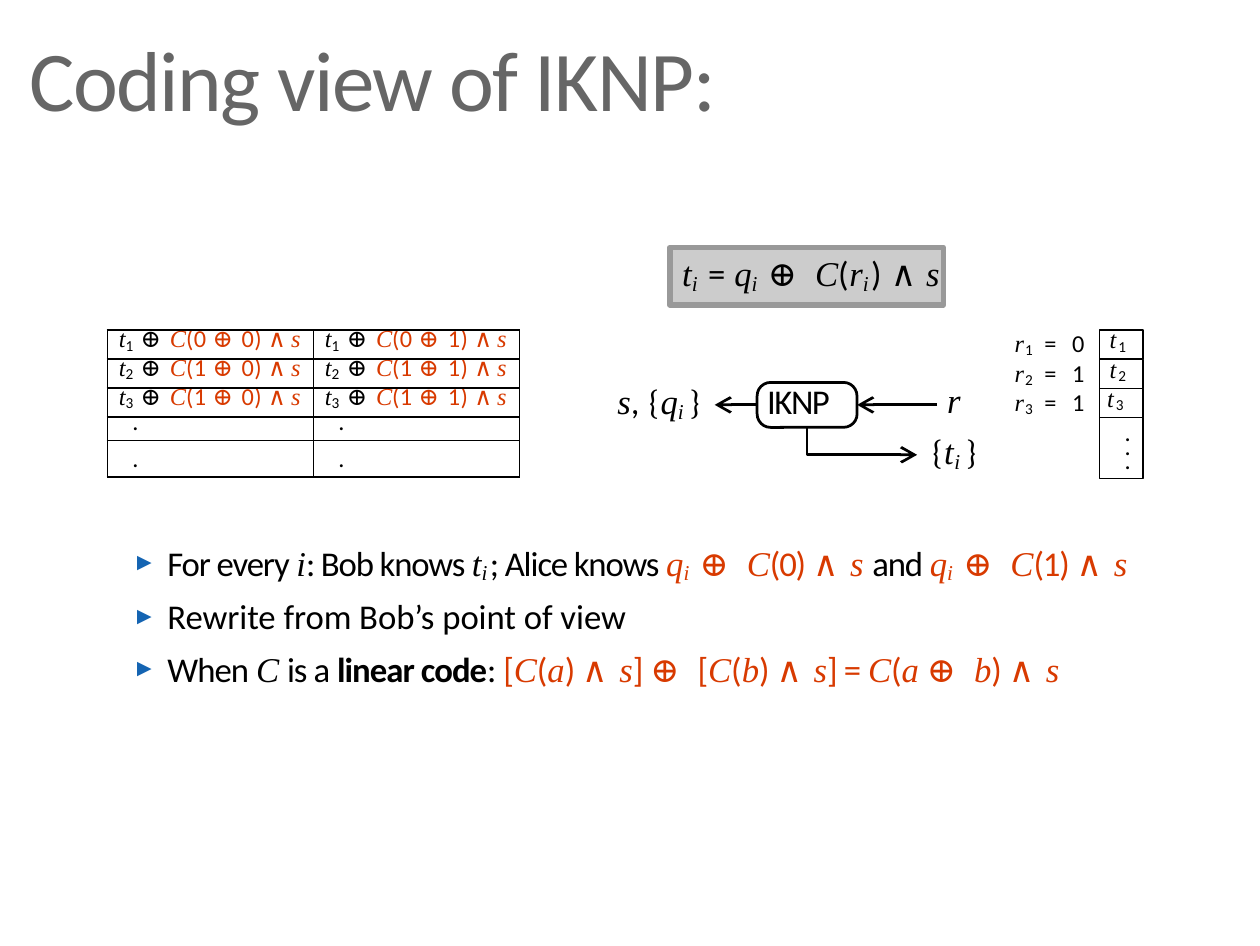
import itertools

import pptx
import pptx.dml.color
import pptx.enum.shapes
import pptx.enum.text
import pptx.oxml
import pptx.oxml.ns
import pptx.util
from lxml import etree

Pt = pptx.util.Pt
SHAPE = pptx.enum.shapes.MSO_SHAPE
COLS, ROWS = 504.17, 378.47
WIDE, HIGH = Pt(363), Pt(272.5)
BLACK, WHITE, RED = "000000", "FFFFFF", "D83A00"
FONTS = {"plain": "Calibri", "math": "Times New Roman", "sub": "Times New Roman",
         "digit": "Calibri", "cross": "Cambria", "wedge": "Cambria", "brace": "Cambria"}
GAPS = {"plain": -0.3, "math": -0.2, "sub": 0, "digit": 0,
        "cross": 1.5, "wedge": 0.6, "brace": 0.3}
FLAT = dict.fromkeys(GAPS, 0) | {"digit": 0.6, "cross": 0.5, "plain": 0.15}
SIGNS = {"⊕": "cross", "∧": "wedge", "{": "brace", "}": "brace"}


def col(count):
    return round(WIDE * count / COLS)


def row(count):
    return round(HIGH * count / ROWS)


def area(x, y, w, h):
    return col(x), row(y), col(w), row(h)


def paint(part, shade):
    part.solid()
    part.fore_color.rgb = pptx.dml.color.RGBColor.from_string(shade)


def child(node, tag, **attrs):
    return etree.SubElement(node, pptx.oxml.ns.qn("a:" + tag), attrs)


def spell(text):
    """Yield (char, style); * is math, _ is subscript, ^ is red, # is bold."""
    on = dict.fromkeys("*_^#", False)
    kind = "plain"
    for char in text:
        if char in on:
            on[char] = not on[char]
            continue
        if char in SIGNS:
            kind = SIGNS[char]
        elif on["_"]:
            kind = "digit" if char.isdigit() else "sub"
        elif char != " ":
            kind = "math" if on["*"] else "plain"
        yield char, (kind, on["^"], on["#"])


def say(para, text, size=10, shade=BLACK, **gaps):
    gaps = GAPS | gaps
    for style, pairs in itertools.groupby(spell(text), lambda pair: pair[1]):
        kind, red, bold = style
        low = kind in ("sub", "digit")
        run = para.add_run()
        run.text = "".join(char for char, _ in pairs)
        font = run.font
        font.name = FONTS[kind]
        font.size = Pt(size + 0.5 if low else size)
        font.bold, font.italic = bold, kind in ("math", "sub")
        paint(font.fill, RED if red else shade)
        props = run._r.get_or_add_rPr()
        props.set("spc", str(round(gaps[kind] * 100)))
        if low:
            props.set("baseline", "-12000")


def frame(shape, left=0, top=0):
    """Give the shape's text frame plain insets and return it."""
    box = shape.text_frame
    box.margin_left, box.margin_top = col(left), row(top)
    box.margin_right = box.margin_bottom = 0
    box.auto_size = pptx.enum.text.MSO_AUTO_SIZE.NONE
    box.vertical_anchor = pptx.enum.text.MSO_ANCHOR.TOP
    box.word_wrap = False
    para = box.paragraphs[0]
    para.alignment = pptx.enum.text.PP_ALIGN.LEFT
    para.space_before = Pt(0)
    return box


def label(slide, text, place, size=10, **gaps):
    box = frame(slide.shapes.add_textbox(*area(*place)))
    say(box.paragraphs[0], text, size, **gaps)


def block(slide, kind, place, fill, line, width):
    shape = slide.shapes.add_shape(kind, *area(*place))
    shape.shadow.inherit = False
    paint(shape.fill, fill)
    paint(shape.line.fill, line)
    shape.line.width = Pt(width)
    return shape


def tip(shape):
    """Style a line in black with an open head at its end."""
    paint(shape.line.fill, BLACK)
    shape.line.width = Pt(0.8)
    child(shape.line._get_or_add_ln(), "tailEnd", type="arrow", w="sm", len="sm")


def arrow(slide, start, end):
    line = slide.shapes.add_connector(
        pptx.enum.shapes.MSO_CONNECTOR.STRAIGHT,
        col(start[0]), row(start[1]), col(end[0]), row(end[1]))
    tip(line)
    child(line._element.spPr, "effectLst")
    return line


def edge(cell, side, seen):
    line = child(cell._tc.get_or_add_tcPr(), "ln" + side, w=str(Pt(0.5)))
    if seen:
        child(child(line, "solidFill"), "srgbClr", val=BLACK)
    else:
        child(line, "noFill")


def grid(slide):
    lines = [["*t*_%d_ ⊕ ^*C*(%d ⊕ %d) ∧ *s*^" % (num, bit, side) for side in (0, 1)]
             for num, bit in ((1, 0), (2, 1), (3, 1))]
    lines += [[".", "."], ["", ""], [".", "."]]
    highs = [11.6, 11.6, 11.6, 9.5, 6, 8.7]
    leads = [7.2, 7.2, 7.2, 5.8, 4, 5.5]
    table = slide.shapes.add_table(6, 2, *area(43, 132, 165, sum(highs))).table
    table.first_row = table.horz_banding = False
    for r, (line, high, lead) in enumerate(zip(lines, highs, leads)):
        table.rows[r].height = row(high)
        for c, text in enumerate(line):
            cell = table.cell(r, c)
            cell.margin_left = col(4.6 if r < 3 else 10)
            cell.margin_right = cell.margin_top = cell.margin_bottom = 0
            para = cell.text_frame.paragraphs[0]
            para.line_spacing = Pt(lead)
            say(para, text, 7, **FLAT)
            if not text:
                child(para._p, "endParaRPr", sz="100")
            for side in "LRTB":
                edge(cell, side, (r, side) not in ((4, "B"), (5, "T")))
            paint(cell.fill, WHITE)
            props = cell._tc.tcPr
            props.append(props.find(pptx.oxml.ns.qn("a:solidFill")))


def stack(slide):
    """Bob's column of t values, with his choice bits to its left."""
    step = 11.7
    for pos, bit in enumerate((0, 1, 1)):
        top = 132 + pos * step
        label(slide, "*r*_%d_ = %d" % (pos + 1, bit), (406, top - 1.3, 33, 12), 7,
              plain=1.5, math=0.3, digit=1.2)
        cell = block(slide, SHAPE.RECTANGLE, (440, top, 17.5, step), WHITE, BLACK, 0.4)
        para = frame(cell, 4 if pos < 2 else 3).paragraphs[0]
        para.line_spacing = Pt(7.2)
        say(para, "*t*_%d_" % (pos + 1), 7, math=0.6, digit=0.8)
    top = 132 + 3 * step
    rest = block(slide, SHAPE.RECTANGLE, (440, top, 17.5, 191.5 - top), WHITE, BLACK, 0.4)
    box = frame(rest, 10, 6)
    for pos in range(3):
        para = box.add_paragraph() if pos else box.paragraphs[0]
        para.alignment = pptx.enum.text.PP_ALIGN.LEFT
        para.line_spacing = Pt(4)
        say(para, ".", 7, plain=0)


def flow(slide):
    core = block(slide, SHAPE.ROUNDED_RECTANGLE, (303, 153, 40, 18), WHITE, BLACK, 0.8)
    core.adjustments[0] = 0.3
    label(slide, "IKNP", (307, 151.8, 33, 18), plain=-0.4)
    arrow(slide, (303, 162), (286, 162)).begin_connect(core, 1)
    arrow(slide, (375, 162), (343, 162)).end_connect(core, 3)
    path = slide.shapes.build_freeform(col(323), row(171))
    path.add_line_segments([(col(323), row(182)), (col(367), row(182))], close=False)
    bend = path.convert_to_shape()
    bend.shadow.inherit = False
    bend.fill.background()
    tip(bend)
    label(slide, "*s*, {*q*_i_ }", (247, 151.5, 38, 17))
    label(slide, "*r*", (379, 151.5, 7, 17))
    label(slide, "{*t*_i_ }", (372, 171.5, 24, 17), math=0.2)
    rule = block(slide, SHAPE.RECTANGLE, (268, 99, 109.5, 23), "CCCCCC", "999999", 1.59)
    say(frame(rule, 5, 1.2).paragraphs[0],
        "*t*_i_ = *q*_i_ ⊕ *C*(*r*_i_) ∧ *s*", plain=0.2, sub=0.7, math=-0.1, wedge=0.3)


def points(body):
    body.left, body.top, body.width, body.height = area(49, 211, 416, 65)
    box = frame(body, 0, 5)
    box.word_wrap = True
    lines = [("For every *i*: Bob knows *t*_i_; Alice knows "
              "^*q*_i_ ⊕ *C*(0) ∧ *s*^ and ^*q*_i_ ⊕ *C*(1) ∧ *s*^", -0.32),
             ("Rewrite from Bob’s point of view", 0),
             ("When *C* is a #linear code#: ^[*C*(*a*) ∧ *s*] ⊕ "
              "[*C*(*b*) ∧ *s*] = *C*(*a* ⊕ *b*) ∧ *s*^", -0.25)]
    for pos, (text, gap) in enumerate(lines):
        para = box.add_paragraph() if pos else box.paragraphs[0]
        para.space_before = Pt(3 if pos else 0)
        props = para._p.get_or_add_pPr()
        props.set("marL", str(col(18)))
        props.set("indent", str(-col(14)))
        child(child(props, "buClr"), "srgbClr", val="1464B2")
        child(props, "buSzPct", val="70000")
        child(props, "buChar", char="►")
        say(para, text, plain=gap, sub=0.7)


def main():
    deck = pptx.Presentation()
    deck.slide_width, deck.slide_height = WIDE, HIGH
    deck.element.sldSz.attrib.pop("type", None)
    slide = deck.slides.add_slide(deck.slide_layouts[1])
    title, body = slide.placeholders
    title.left, title.top, title.width, title.height = area(10, 9, 309, 44)
    say(frame(title, 1.8, 1.7).paragraphs[0], "Coding view of IKNP:", 24.5, "666666",
        plain=-0.42)
    flow(slide)
    grid(slide)
    stack(slide)
    points(body)
    deck.save("out.pptx")


if __name__ == "__main__":
    main()
